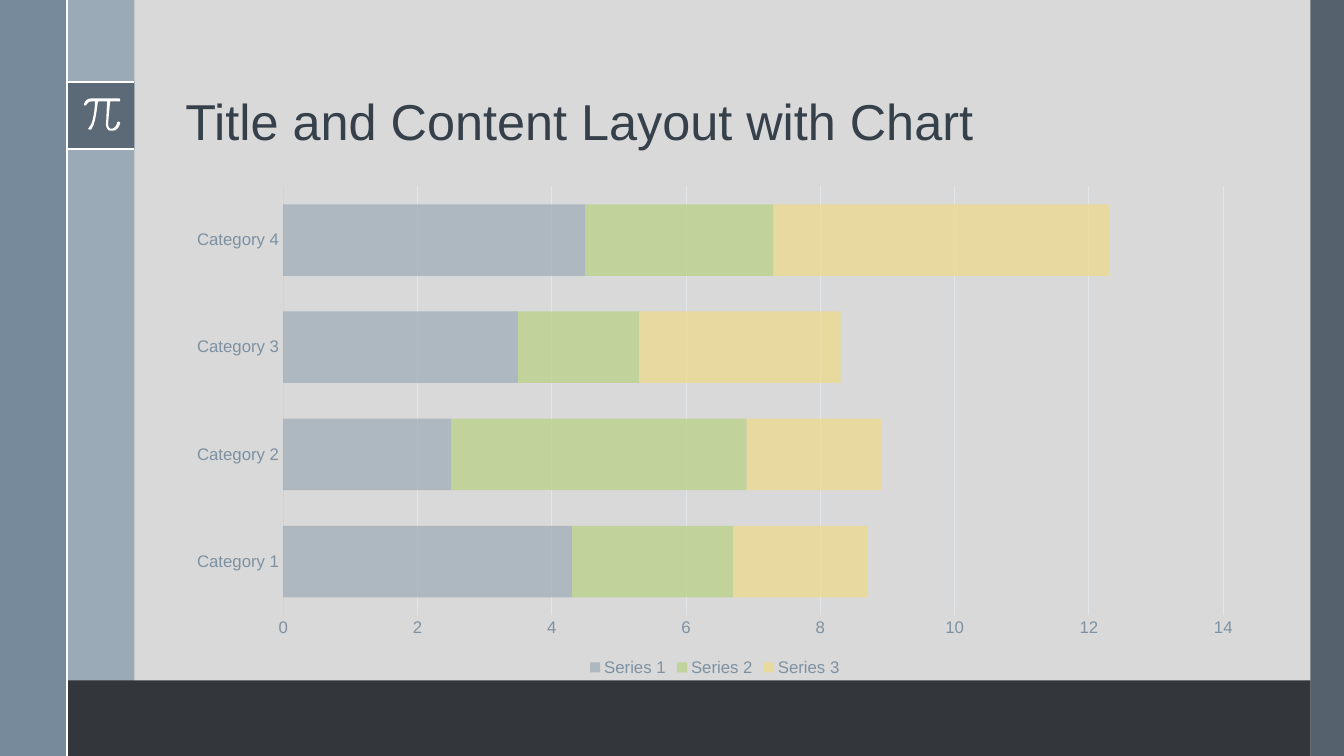
import dataclasses

import pptx
import pptx.chart.data
import pptx.dml.color
import pptx.enum.chart
import pptx.enum.shapes
import pptx.enum.text
import pptx.oxml.ns
import pptx.oxml.xmlchemy
import pptx.util

Inches, Pt = pptx.util.Inches, pptx.util.Pt
SLIDE_WIDTH, SLIDE_HEIGHT = 13.33, 7.5
COLUMN = SLIDE_WIDTH / 20  # the side bands are one column wide


@dataclasses.dataclass(frozen=True)
class Theme:
    font: str = "Arial"
    title_size: float = 36
    chart_size: float = 12
    rule_width: float = 1.5
    axis_width: float = 0.75
    background: str = "D9D9D9"
    slate: str = "475562"
    pale_blue: str = "9BAAB7"
    steel: str = "6A8093"
    footer: str = "33363B"
    white: str = "FFFFFF"
    title: str = "35404A"
    label: str = "7D91A2"
    axis: str = "CDD5DB"
    grid: str = "E1E6EA"
    series: tuple = ("9BAAB7", "B8D082", "EFDB85")
    series_opacity: int = 70


THEME = Theme()

CATEGORIES = ["Category 1", "Category 2", "Category 3", "Category 4"]
SERIES = {
    "Series 1": (4.3, 2.5, 3.5, 4.5),
    "Series 2": (2.4, 4.4, 1.8, 2.8),
    "Series 3": (2, 2, 3, 5),
}

# Pi outline in hundredths of an inch: one point is a line, three a Bézier curve
PI_START = (35, 0)
PI_SEGMENTS = [
    [(7, 0)], [(2, 0), (0, 5), (0, 6)], [(0, 6), (0, 7), (1, 7)], [(2, 7)],
    [(2, 7), (4, 3), (7, 3)], [(11, 3)], [(11, 7), (10, 24), (5, 29)],
    [(4, 30), (4, 30), (5, 31)], [(7, 31)], [(12, 25), (13, 7), (14, 3)],
    [(23, 3)], [(22, 24)], [(22, 24), (21, 28), (24, 31)],
    [(25, 32), (26, 32), (27, 32)], [(29, 32)], [(34, 32), (36, 25), (36, 24)],
    [(35, 23)], [(34, 23), (33, 23), (33, 24)], [(33, 24), (32, 29), (28, 30)],
    [(27, 30), (26, 30), (25, 29)], [(24, 28), (24, 25), (24, 24)],
    [(26, 3)], [(35, 3)], [(36, 3), (36, 2), (36, 2)], [(36, 1), (36, 0), (35, 0)],
]


def rgb(color):
    return pptx.dml.color.RGBColor.from_string(color)


def set_fill(fill, color, opacity=100):
    fill.solid()
    fill.fore_color.rgb = rgb(color)
    if opacity < 100:
        for element in fill._xPr.iter(pptx.oxml.ns.qn("a:srgbClr")):
            alpha = pptx.oxml.xmlchemy.OxmlElement("a:alpha")
            alpha.set("val", str(opacity * 1000))
            element.append(alpha)


def set_font(font, size, color):
    font.name, font.size = THEME.font, Pt(size)
    font.color.rgb = rgb(color)


def add_band(slide, box, color, opacity=100):
    shape = slide.shapes.add_shape(
        pptx.enum.shapes.MSO_SHAPE.RECTANGLE, *map(Inches, box))
    shape.shadow.inherit = False
    set_fill(shape.fill, color, opacity)
    shape.line.fill.background()


def add_rule(slide, start, end):
    rule = slide.shapes.add_connector(
        pptx.enum.shapes.MSO_CONNECTOR.STRAIGHT, *map(Inches, start + end))
    rule.line.color.rgb = rgb(THEME.white)
    rule.line.width = Pt(THEME.rule_width)
    rule._element.spPr.append(pptx.oxml.xmlchemy.OxmlElement("a:effectLst"))


def bezier(controls, steps=6):
    weights = lambda t: ((1 - t) ** 3, 3 * t * (1 - t) ** 2, 3 * t * t * (1 - t), t ** 3)
    for step in range(1, steps + 1):
        yield tuple(sum(weight * point[axis] for weight, point
                        in zip(weights(step / steps), controls)) for axis in (0, 1))


def add_pi(slide, left, top):
    points = [PI_START]
    for segment in PI_SEGMENTS:
        points += segment if len(segment) == 1 else list(bezier([points[-1], *segment]))
    outline = [(Inches(left + x / 100), Inches(top + y / 100)) for x, y in points]
    builder = slide.shapes.build_freeform(*outline[0])
    builder.add_line_segments(outline[1:], close=True)
    symbol = builder.convert_to_shape()
    symbol.shadow.inherit = False
    set_fill(symbol.fill, THEME.white)
    symbol.line.fill.background()


def add_frame(slide, width, height):
    """Side bands, pi badge and footer around the content."""
    badge_top = 0.108 * height
    badge_bottom = badge_top + COLUMN
    add_band(slide, (width - COLUMN / 2, 0, COLUMN / 2, height), THEME.slate, 90)
    add_band(slide, (COLUMN, 0, COLUMN, height), THEME.pale_blue)
    add_band(slide, (0, 0, COLUMN, height), THEME.steel, 88)
    # Badge
    add_band(slide, (COLUMN, badge_top, COLUMN, COLUMN), THEME.slate, 75)
    for y in (badge_top, badge_bottom):
        add_rule(slide, (COLUMN, y), (2 * COLUMN, y))
    add_pi(slide, 1.25 * COLUMN, badge_top + COLUMN / 4)
    # Full-height rule and footer
    add_rule(slide, (COLUMN, 0), (COLUMN, height))
    add_band(slide, (COLUMN + 0.01, 0.9 * height, width - 1.5 * COLUMN - 0.01,
                     0.1 * height), THEME.footer)


def add_title(slide, box, text):
    frame = slide.shapes.add_textbox(*map(Inches, box)).text_frame
    frame.word_wrap = True
    frame.vertical_anchor = pptx.enum.text.MSO_ANCHOR.BOTTOM
    paragraph = frame.paragraphs[0]
    paragraph.text = text
    paragraph.line_spacing = 0.9
    set_font(paragraph.font, THEME.title_size, THEME.title)


def add_bar_chart(slide, box):
    data = pptx.chart.data.CategoryChartData()
    data.categories = CATEGORIES
    for name, values in SERIES.items():
        data.add_series(name, values)
    chart = slide.shapes.add_chart(
        pptx.enum.chart.XL_CHART_TYPE.BAR_STACKED, *map(Inches, box), data).chart
    set_font(chart.font, THEME.chart_size, THEME.label)
    chart.has_title = False
    # Bars
    plot = chart.plots[0]
    plot.vary_by_categories = False
    plot.gap_width, plot.overlap = 50, 100
    for series, color in zip(plot.series, THEME.series):
        set_fill(series.format.fill, color, THEME.series_opacity)
    # Axes
    categories, values = chart.category_axis, chart.value_axis
    for axis in (categories, values):
        axis.major_tick_mark = axis.minor_tick_mark = pptx.enum.chart.XL_TICK_MARK.NONE
        set_font(axis.tick_labels.font, THEME.chart_size, THEME.label)
    values.minimum_scale, values.maximum_scale, values.major_unit = 0, 14, 2
    values.format.line.fill.background()
    values.has_major_gridlines = True
    for line, color in ((categories.format.line, THEME.axis),
                        (values.major_gridlines.format.line, THEME.grid)):
        line.color.rgb = rgb(color)
        line.width = Pt(THEME.axis_width)
    # Legend
    chart.has_legend = True
    chart.legend.position = pptx.enum.chart.XL_LEGEND_POSITION.BOTTOM
    chart.legend.include_in_layout = False
    set_font(chart.legend.font, THEME.chart_size, THEME.label)


def main():
    presentation = pptx.Presentation()
    presentation.slide_width = Inches(SLIDE_WIDTH)
    presentation.slide_height = Inches(SLIDE_HEIGHT)
    slide = presentation.slides.add_slide(presentation.slide_layouts[6])
    set_fill(slide.background.fill, THEME.background)

    add_frame(slide, SLIDE_WIDTH, SLIDE_HEIGHT)
    left, width = 1.74, 10.7
    add_title(slide, (left, 0.19, width, 1.36), "Title and Content Layout with Chart")
    add_bar_chart(slide, (left, 1.75, width, 5))
    presentation.save("out.pptx")


if __name__ == "__main__":
    main()
